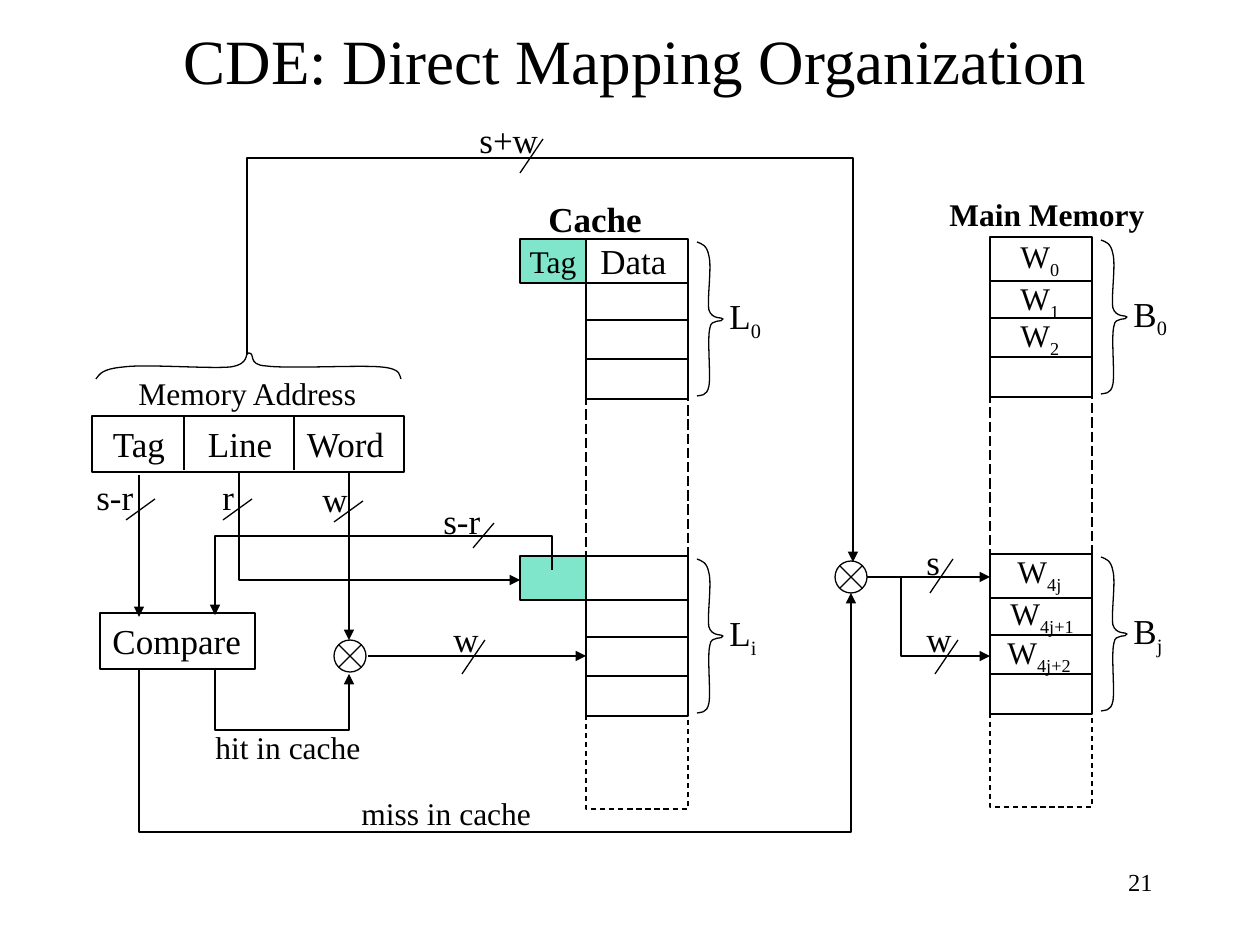
"""Build the direct mapping organization slide: address, cache, main memory and wiring."""
from lxml import etree
from pptx import Presentation
from pptx.dml.color import RGBColor
from pptx.enum.dml import MSO_LINE
from pptx.enum.shapes import MSO_CONNECTOR, MSO_SHAPE
from pptx.enum.text import MSO_ANCHOR, MSO_AUTO_SIZE, PP_ALIGN
from pptx.oxml.ns import qn
from pptx.util import Pt

RECTANGLE, ELLIPSE = MSO_SHAPE.RECTANGLE, MSO_SHAPE.OVAL
STRAIGHT = MSO_CONNECTOR.STRAIGHT
LONG_DASH, DASH = MSO_LINE.LONG_DASH, MSO_LINE.DASH
TOP, MIDDLE = MSO_ANCHOR.TOP, MSO_ANCHOR.MIDDLE
GROW = MSO_AUTO_SIZE.SHAPE_TO_FIT_TEXT
LEFT, CENTER, RIGHT = PP_ALIGN.LEFT, PP_ALIGN.CENTER, PP_ALIGN.RIGHT

THEME = {
    "ink": RGBColor(0, 0, 0),
    "tag": RGBColor(0x00, 0xCC, 0x99),
    "tag_alpha": "50000",
    "font": "Times New Roman",
    "stroke": Pt(0.75),
    "title": 36,
    "large": 20,
    "medium": 18,
    "number": 14,
}
LARGE, MEDIUM = THEME["large"], THEME["medium"]
SCALE = 914400 / 126

deck = Presentation()
deck.slide_width, deck.slide_height = round(1260 * SCALE), round(945 * SCALE)
page = deck.slides.add_slide(deck.slide_layouts[6])


def place(kind, area, text="", subscript="", size=LARGE, bold=False,
          align=LEFT, anchor=TOP, wrap=False, fill=None):
    """Add a text box, or an outlined shape when a kind is given."""
    bounds = [round(value * SCALE) for value in area]
    if kind is None:
        box = page.shapes.add_textbox(*bounds)
    else:
        box = page.shapes.add_shape(kind, *bounds)
        box.shadow.inherit = False
        box.line.color.rgb, box.line.width = THEME["ink"], THEME["stroke"]
        if fill is None:
            box.fill.background()
        else:
            box.fill.solid()
            box.fill.fore_color.rgb = fill
            color = box._element.spPr.find(qn("a:solidFill"))[0]
            etree.SubElement(color, qn("a:alpha"), val=THEME["tag_alpha"])
    frame = box.text_frame
    frame.word_wrap, frame.vertical_anchor = wrap, anchor
    if kind is None and not wrap:
        frame.auto_size = GROW
    para = frame.paragraphs[0]
    para.alignment = align
    looks = {"name": THEME["font"], "size": Pt(size), "bold": bold}
    for words, baseline in ((text, None), (subscript, "-25000")):
        if words:
            span = para.add_run()
            span.text = words
            for name, value in looks.items():
                setattr(span.font, name, value)
            span.font.color.rgb = THEME["ink"]
            if baseline:
                span._r.get_or_add_rPr().set("baseline", baseline)
    return box


def trace(points, arrow=False, dash=None, curved=False):
    """Draw a line through the points, or cubic curves guided by them."""
    spots = [(round(x * SCALE), round(y * SCALE)) for x, y in points]
    if len(spots) == 2:
        line = page.shapes.add_connector(STRAIGHT, *spots[0], *spots[1])
    else:
        builder = page.shapes.build_freeform(*spots[0])
        builder.add_line_segments(spots[1:], close=False)
        line = builder.convert_to_shape()
        line.fill.background()
    if curved:
        segments = list(line._element.spPr.iter(qn("a:lnTo")))
        for first in range(0, len(segments), 3):
            curve = etree.SubElement(segments[first].getparent(), qn("a:cubicBezTo"))
            for segment in segments[first:first + 3]:
                curve.append(segment[0])
                segment.getparent().remove(segment)
    line.line.color.rgb, line.line.width = THEME["ink"], THEME["stroke"]
    if dash:
        line.line.dash_style = dash
    if arrow:
        etree.SubElement(line.line._ln, qn("a:tailEnd"), type="triangle")
    etree.SubElement(line._element.spPr, qn("a:effectLst"))


place(None, (903, 861, 262, 63), "21", size=THEME["number"], align=RIGHT, wrap=True)
place(None, (100, 0, 1071, 118), "CDE: Direct Mapping Organization",
      size=THEME["title"], align=CENTER, anchor=MIDDLE, wrap=True)

address = place(RECTANGLE, (92, 416, 312, 56), "Tag\tLine\tWord")
address.text_frame.margin_left = round(21 * SCALE)
properties = address.text_frame.paragraphs[0]._p.get_or_add_pPr()
tabs = etree.SubElement(properties, qn("a:tabLst"))
for stop in (95, 194):
    etree.SubElement(tabs, qn("a:tab"), pos=str(round(stop * SCALE)), algn="l")
for x in (184, 294):
    trace([(x, 417), (x, 470)])
place(RECTANGLE, (100, 613, 155, 56), "Compare")

BRACE = [(0, 0), (1, 3), (-1, 10), (10, 12), (21, 14), (57, 10), (68, 13),
         (78, 14), (73, 26), (77, 26), (79, 26), (76, 15), (86, 12),
         (97, 10), (129, 15), (140, 12), (151, 10), (152, 5), (154, 0)]
trace([(401 - along * 305 / 154, 379 - across) for along, across in BRACE], curved=True)

COLUMN_WIDTH, BLOCK_HEIGHT, BLOCK_STEP = 102, 160, 317
TAG_WIDTH, TAG_HEIGHT = 66, 44
columns = [(586, 239, "L", ("0", "i"), (58, 53), ("Tag", "")),
           (990, 237, "B", ("0", "j"), (61, 56), ())]
for left, column_top, letter, indices, widths, tags in columns:
    right = left + COLUMN_WIDTH
    for block, index in enumerate(indices):
        top = column_top + block * BLOCK_STEP
        place(RECTANGLE, (left, top, COLUMN_WIDTH, BLOCK_HEIGHT))
        for offset in (TAG_HEIGHT, 81, 120):
            trace([(left, top + offset), (right, top + offset)])
        trace([(left + 111 + across, top + 157 - along) for along, across in BRACE], curved=True)
        place(None, (left + 131, top + 49, widths[block], 54), letter, index)
        if tags:
            place(RECTANGLE, (left - TAG_WIDTH, top, TAG_WIDTH, TAG_HEIGHT), tags[block],
                  size=MEDIUM, align=CENTER, anchor=MIDDLE, fill=THEME["tag"])
    trace([(left, column_top + 142), (left, column_top + 331)], dash=LONG_DASH)
    trace([(right, column_top + 152), (right, column_top + 341)], dash=LONG_DASH)
    trace([(left, column_top + 467), (left, column_top + 570),
           (right, column_top + 570), (right, column_top + 457)], dash=DASH)

words = [(1008, 231, 66, "0"), (1008, 273, 66, "1"), (1008, 310, 66, "2"),
         (1005, 546, 72, "4j"), (998, 588, 93, "4j+1"), (995, 627, 93, "4j+2")]
for left, top, width, index in words:
    place(None, (left, top, width, 50), "W", index, MEDIUM)

RADIUS, ARM = 16, 11
for x, y in ((350, 656), (851, 577)):
    place(ELLIPSE, (x - RADIUS, y - RADIUS, 2 * RADIUS, 2 * RADIUS))
    for slope in (1, -1):
        trace([(x - ARM, y - ARM * slope), (x + ARM, y + ARM * slope)])

wires = [
    [(139, 475), (139, 617)],
    [(239, 473), (239, 580), (520, 580)],
    [(552, 570), (552, 536), (215, 536), (215, 615)],
    [(349, 473), (349, 640)],
    [(368, 656), (586, 656)],
    [(215, 669), (215, 730), (349, 730), (349, 674)],
    [(867, 577), (990, 577)],
    [(901, 577), (901, 656), (990, 656)],
    [(247, 354), (247, 158), (853, 158), (853, 562)],
    [(139, 669), (139, 832), (851, 832), (851, 593)],
]
for wire in wires:
    trace(wire, arrow=True)

slashes = [(155, 499, 29, 21), (252, 499, 29, 21), (363, 501, 29, 21), (494, 523, 21, 25),
           (485, 640, 23, 34), (953, 559, 23, 34), (958, 640, 23, 34), (543, 139, 23, 34)]
for x, y, run, drop in slashes:
    trace([(x, y), (x - run, y + drop)])

labels = [
    ("Memory Address", 126, 368, 244, MEDIUM, False),
    ("s-r", 84, 469, 62, LARGE, False),
    ("r", 210, 469, 37, LARGE, False),
    ("w", 310, 471, 50, LARGE, False),
    ("s-r", 431, 493, 62, LARGE, False),
    ("w", 441, 611, 50, LARGE, False),
    ("s", 914, 534, 39, LARGE, False),
    ("w", 914, 611, 50, LARGE, False),
    ("hit in cache", 203, 722, 170, MEDIUM, False),
    ("miss in cache", 349, 788, 195, MEDIUM, False),
    ("s+w", 467, 112, 84, LARGE, False),
    ("Data", 588, 233, 92, LARGE, False),
    ("Cache", 536, 191, 119, LARGE, True),
    ("Main Memory", 937, 189, 220, MEDIUM, True),
]
for text, left, top, width, size, bold in labels:
    place(None, (left, top, width, 54 if size == LARGE else 50), text, size=size, bold=bold)

deck.save("out.pptx")
